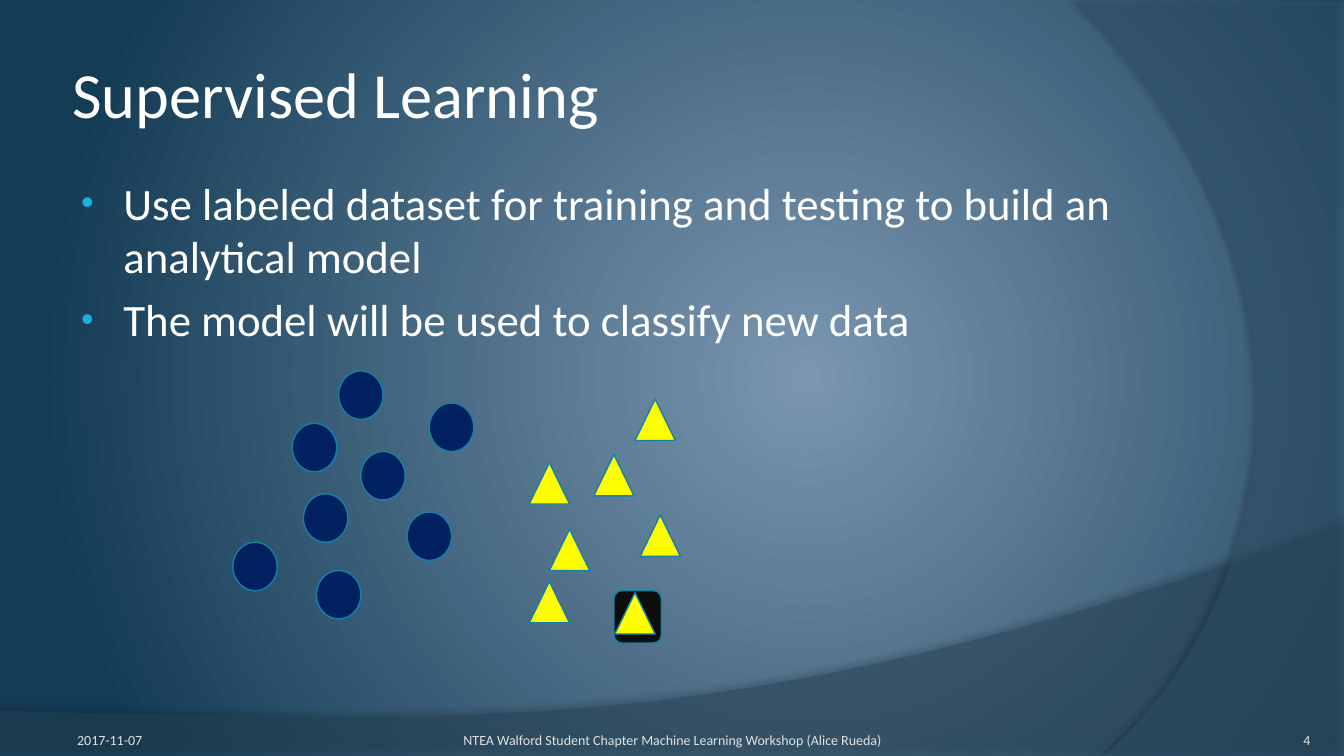
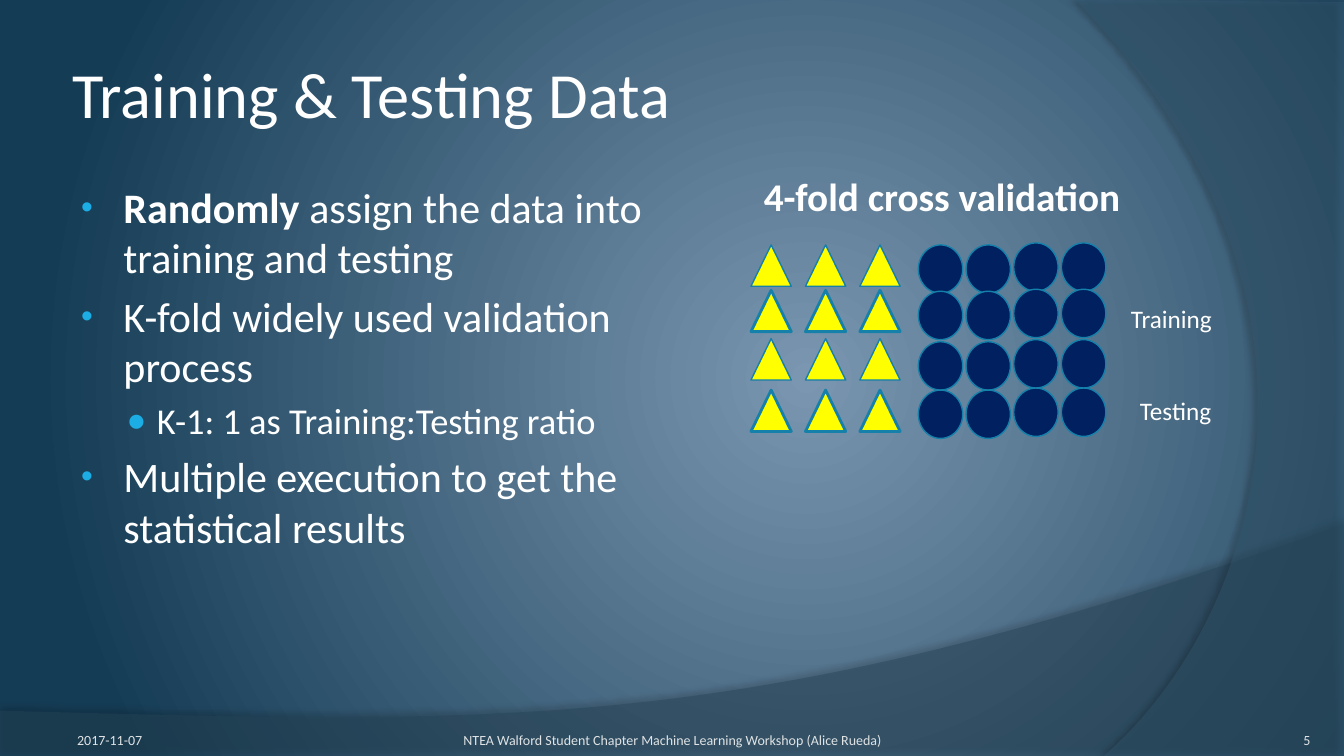
from dataclasses import dataclass
from typing import Any, NamedTuple

import pptx
import pptx.dml.color
import pptx.enum.shapes
import pptx.enum.text
import pptx.oxml
import pptx.oxml.ns
import pptx.util

FONT = "Calibri"
COLORS = {
    "glow": "7A96B0", "edge": "153C55", "wave": "264457", "arc": "335B74",
    "text": "FFFFFF", "footer": "DFE3E5", "bullet": "1CADE4", "shadow": "000000",
    "circle": "002060", "triangle": "FFFF00", "tile": "0D0D0D", "outline": "1580A9",
}
WIDTH = pptx.util.Inches(13.333)
HEIGHT = pptx.util.Inches(7.5)
LEFT = pptx.enum.text.PP_ALIGN.LEFT
CENTER = pptx.enum.text.PP_ALIGN.CENTER
RIGHT = pptx.enum.text.PP_ALIGN.RIGHT
TOP = pptx.enum.text.MSO_ANCHOR.TOP
MIDDLE = pptx.enum.text.MSO_ANCHOR.MIDDLE
BOTTOM = pptx.enum.text.MSO_ANCHOR.BOTTOM
Point = tuple[float, float]


class Area(NamedTuple):
    """A rectangle in percent of the slide's width and height."""
    left: float
    top: float
    width: float
    height: float


class Span(NamedTuple):
    text: str
    bold: bool = False


class Level(NamedTuple):
    """Bullet style; indents are in inches."""
    mark: str
    percent: int
    margin: float
    hanging: float


class Bullet(NamedTuple):
    spans: list[Span]
    size: int
    level: int = 0


class Marker(NamedTuple):
    kind: Any
    color: str
    width: float
    height: float


@dataclass
class Band:
    """Corners joined by lines, then closed by a curve from the last one."""
    corners: list[Point]
    curve: list[Point]
    color: str
    opacity: int
    shadow_opacity: int
    shadow_distance: float
    shadow_angle: int


@dataclass
class Label:
    text: str
    area: Area
    size: int
    color: str = "text"
    bold: bool = False
    align: Any = LEFT
    anchor: Any = TOP
    insets: tuple[float, float, float, float] = (0.1, 0.05, 0.1, 0.05)
    wrap: bool = True


SHAPES = pptx.enum.shapes.MSO_SHAPE
CIRCLE = Marker(SHAPES.OVAL, "circle", 3.3, 6.4)
TRIANGLE = Marker(SHAPES.ISOSCELES_TRIANGLE, "triangle", 3, 5.47)
TILE = Marker(SHAPES.ROUNDED_RECTANGLE, "tile", 3.53, 6.93)
LEVELS = [Level("•", 80, 0.46, -0.42), Level("●", 90, 0.79, -0.3)]
BANDS = [
    Band([(0, 94), (0, 100), (100, 100), (100, 69.33)],
         [(55.88, 97.2), (39.08, 95.87), (0, 94)], "wave", 45, 35, 3.5, 270),
    Band([(100, 0.27), (100, 100), (82.13, 100)],
         [(93.45, 82.53), (101.78, 40), (80.03, 0)], "arc", 40, 45, 4, 180),
]


def across(percent: float) -> int:
    return round(WIDTH * percent / 100)


def down(percent: float) -> int:
    return round(HEIGHT * percent / 100)


def place(area: Area) -> tuple[int, int, int, int]:
    return across(area.left), down(area.top), across(area.width), down(area.height)


def rgb(name: str) -> pptx.dml.color.RGBColor:
    return pptx.dml.color.RGBColor.from_string(COLORS[name])


def element(markup: str) -> Any:
    """Build a drawing element from markup without its namespace."""
    tag, rest = markup.split(" ", 1)
    return pptx.oxml.parse_xml(f"{tag} {pptx.oxml.ns.nsdecls('a')} {rest}")


def paint_background(master: Any) -> None:
    master.background.fill.gradient()
    gradient = master.element.find(".//" + pptx.oxml.ns.qn("a:gradFill"))
    stops = "".join(
        f'<a:gs pos="{position}"><a:srgbClr val="{COLORS[name]}"/></a:gs>'
        for position, name in ((0, "glow"), (100000, "edge")))
    gradient.getparent().replace(gradient, element(
        f'<a:gradFill rotWithShape="1"><a:gsLst>{stops}</a:gsLst><a:path path="circle">'
        '<a:fillToRect l="60000" t="50000" r="40000" b="50000"/></a:path></a:gradFill>'))


def bezier(points: list[Point], steps: int = 60) -> list[Point]:
    """Sample a cubic curve, leaving out its first point."""
    samples = []
    for step in range(1, steps + 1):
        t = step / steps
        weights = ((1 - t) ** 3, 3 * t * (1 - t) ** 2, 3 * t * t * (1 - t), t ** 3)
        samples.append((sum(w * p[0] for w, p in zip(weights, points)),
                        sum(w * p[1] for w, p in zip(weights, points))))
    return samples


def draw_band(page: Any, band: Band) -> None:
    outline = band.corners + bezier([band.corners[-1], *band.curve])
    vertices = [(across(x), down(y)) for x, y in outline]
    builder = page.shapes.build_freeform(*vertices[0])
    builder.add_line_segments(vertices[1:], close=True)
    shape = builder.convert_to_shape()
    shape.fill.solid()
    shape.fill.fore_color.rgb = rgb(band.color)
    shape.line.fill.background()
    shape.shadow.inherit = False
    properties = shape.element.spPr
    color = properties.find(".//" + pptx.oxml.ns.qn("a:srgbClr"))
    color.append(element(f'<a:alpha val="{band.opacity * 1000}"/>'))
    properties.find(pptx.oxml.ns.qn("a:effectLst")).append(element(
        f'<a:outerShdw blurRad="{pptx.util.Pt(4)}" dist="{pptx.util.Pt(band.shadow_distance)}" '
        f'dir="{band.shadow_angle * 60000}" rotWithShape="0">'
        f'<a:srgbClr val="{COLORS["shadow"]}"><a:alpha val="{band.shadow_opacity * 1000}"/>'
        '</a:srgbClr></a:outerShdw>'))


def add_span(para: Any, span: Span, size: int, color: str) -> None:
    run = para.add_run()
    run.text = span.text
    run.font.name = FONT
    run.font.size = pptx.util.Pt(size)
    run.font.bold = span.bold
    run.font.color.rgb = rgb(color)


def add_label(page: Any, label: Label) -> None:
    frame = page.shapes.add_textbox(*place(label.area)).text_frame
    frame.word_wrap = label.wrap
    frame.vertical_anchor = label.anchor
    (frame.margin_left, frame.margin_top,
     frame.margin_right, frame.margin_bottom) = map(pptx.util.Inches, label.insets)
    para = frame.paragraphs[0]
    para.alignment = label.align
    add_span(para, Span(label.text, label.bold), label.size, label.color)


def add_bullets(page: Any, area: Area, bullets: list[Bullet]) -> None:
    frame = page.shapes.add_textbox(*place(area)).text_frame
    frame.word_wrap = True
    for index, bullet in enumerate(bullets):
        para = frame.add_paragraph() if index else frame.paragraphs[0]
        level = LEVELS[bullet.level]
        para.level = bullet.level
        para.space_before = pptx.util.Pt(bullet.size * 0.2)
        properties = para._p.get_or_add_pPr()
        properties.set("marL", str(pptx.util.Inches(level.margin)))
        properties.set("indent", str(pptx.util.Inches(level.hanging)))
        for markup in (f'<a:buClr ><a:srgbClr val="{COLORS["bullet"]}"/></a:buClr>',
                       f'<a:buSzPct val="{level.percent * 1000}"/>',
                       '<a:buFont typeface="Arial"/>',
                       f'<a:buChar char="{level.mark}"/>'):
            properties.append(element(markup))
        for span in bullet.spans:
            add_span(para, span, bullet.size, "text")


def add_marker(shapes: Any, marker: Marker, left: float, top: float, weight: float = 1) -> None:
    area = Area(left, top, marker.width, marker.height)
    shape = shapes.add_shape(marker.kind, *place(area))
    shape.shadow.inherit = False
    shape.fill.solid()
    shape.fill.fore_color.rgb = rgb(marker.color)
    shape.line.color.rgb = rgb("outline")
    shape.line.width = pptx.util.Pt(weight)


def add_cluster(page: Any, marker: Marker, places: list[Point]) -> None:
    group = page.shapes.add_group_shape()
    for left, top in places:
        add_marker(group.shapes, marker, left, top)


def add_page(deck: Any, title: str, number: int) -> Any:
    page = deck.slides.add_slide(deck.slide_layouts[6])
    for band in BANDS:
        draw_band(page, band)
    footers = [
        ("2017-11-07", 5, 23.33, LEFT, (0.1, 0.05, 0.1, 0)),
        ("NTEA Walford Student Chapter Machine Learning Workshop (Alice Rueda)",
         34.2, 31.65, CENTER, (0, 0.05, 0, 0)),
        (str(number), 89.17, 8.33, RIGHT, (0, 0, 0, 0)),
    ]
    for text, left, width, align, insets in footers:
        add_label(page, Label(text, Area(left, 93.6, width, 5.33), 10, "footer",
                              align=align, anchor=BOTTOM, insets=insets))
    add_label(page, Label(title, Area(5, 4, 81.67, 16.67), 46,
                          anchor=MIDDLE, insets=(0.05,) * 4))
    return page


def build_supervised_learning(deck: Any) -> None:
    page = add_page(deck, "Supervised Learning", 4)
    add_bullets(page, Area(5, 22.53, 81.67, 34.4), [
        Bullet([Span("Use labeled dataset for training and testing to build an "
                     "analytical model")], 32),
        Bullet([Span("The model will be used to classify new data")], 32),
    ])
    add_cluster(page, CIRCLE, [
        (21.75, 56), (25.2, 49.07), (26.85, 59.73), (31.95, 53.33),
        (17.33, 71.73), (23.55, 75.47), (30.3, 67.73), (22.58, 65.33)])
    add_cluster(page, TRIANGLE, [
        (44.18, 60.13), (47.25, 52.8), (39.38, 61.2),
        (47.63, 68.13), (39.38, 76.93), (40.88, 70)])
    add_marker(page.shapes, TILE, 45.68, 78.13)
    add_marker(page.shapes, TRIANGLE, 45.75, 78.4)


def build_training_testing(deck: Any) -> None:
    page = add_page(deck, "Training & Testing Data", 5)
    add_bullets(page, Area(5, 23.33, 45.08, 66), [
        Bullet([Span("Randomly", True),
                Span(" assign the data into training and testing")], 30),
        Bullet([Span("K-fold widely used validation process")], 30),
        Bullet([Span("K-1: 1 as Training:Testing ratio")], 26, 1),
        Bullet([Span("Multiple execution to get the statistical results")], 30),
    ])
    fold_tops = [(32.4, 32.4), (38.4, 38.53), (44.8, 45.2), (51.6, 51.6)]
    for fold, (triangle_top, circle_top) in enumerate(fold_tops):
        group = page.shapes.add_group_shape()
        for column in range(3):
            add_marker(group.shapes, TRIANGLE, 55.88 + 4.05 * column, triangle_top,
                       weight=1 + fold % 2)
        for column in range(4):
            lift = 0.27 * (column // 2)
            add_marker(group.shapes, CIRCLE, 68.33 + 3.55 * column, circle_top - lift)
    for label in (
        Label("4-fold cross validation", Area(56.1, 22.13, 28.35, 7.6), 28,
              bold=True, wrap=False),
        Label("Training", Area(83.4, 39.47, 7.58, 5.33), 18, wrap=False),
        Label("Testing", Area(84.08, 51.6, 6.9, 5.33), 18, wrap=False),
    ):
        add_label(page, label)


def main() -> None:
    deck = pptx.Presentation()
    deck.slide_width, deck.slide_height = WIDTH, HEIGHT
    paint_background(deck.slide_master)
    build_supervised_learning(deck)
    build_training_testing(deck)
    deck.save("out.pptx")


if __name__ == "__main__":
    main()
